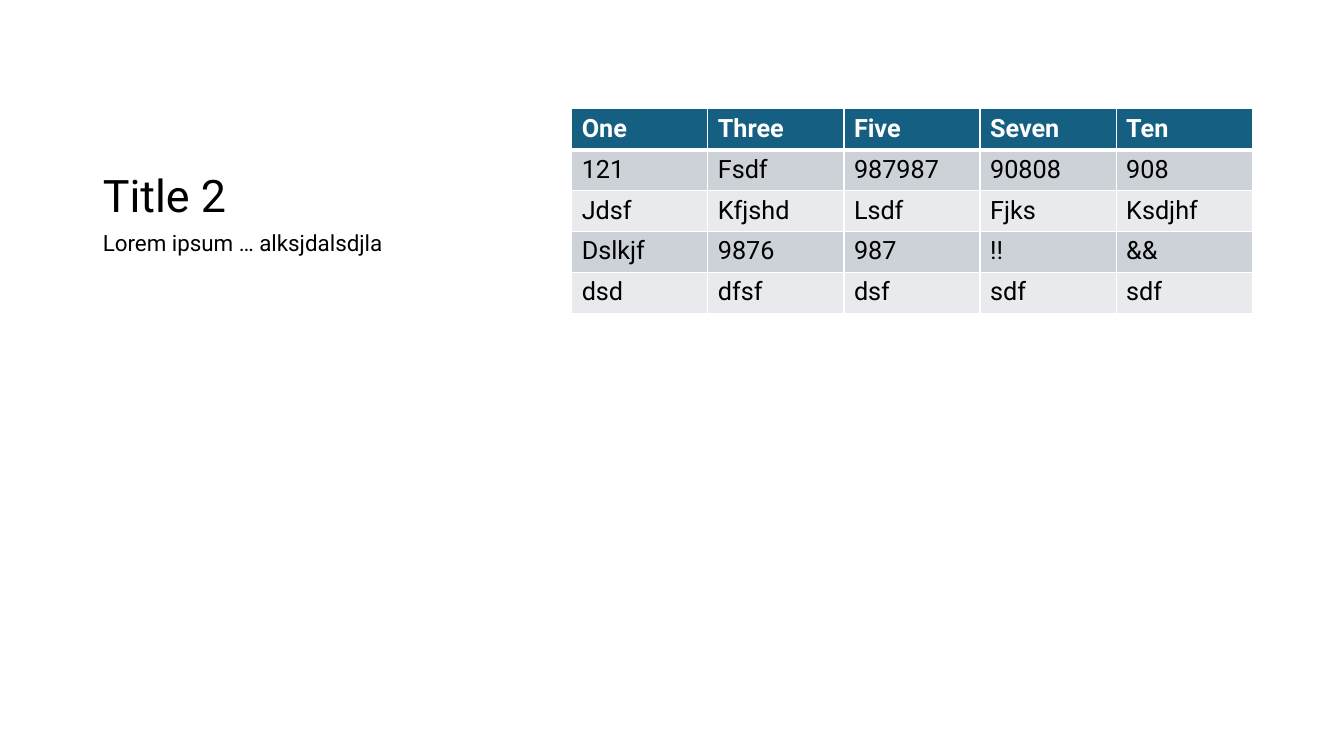
from lxml.etree import SubElement
from pptx import Presentation
from pptx.dml.color import RGBColor
from pptx.enum.text import MSO_ANCHOR as Anchor, MSO_AUTO_SIZE as AutoSize, PP_ALIGN as Align
from pptx.oxml.ns import qn
from pptx.util import Inches, Pt

FONT = "Roboto"
BLACK, WHITE = "000000", "FFFFFF"
HEADER_FILL = "156082"
BAND_FILLS = ("E8EAED", "CCD2D8")
ROWS = [
    ["One", "Three", "Five", "Seven", "Ten"],
    ["121", "Fsdf", "987987", "90808", "908"],
    ["Jdsf", "Kfjshd", "Lsdf", "Fjks", "Ksdjhf"],
    ["Dslkjf", "9876", "987", "!!", "&&"],
    ["dsd", "dfsf", "dsf", "sdf", "sdf"],
]


def rgb(color):
    return RGBColor.from_string(color)


def write(frame, text, size, color=BLACK, bold=False):
    frame.text = text
    paragraph = frame.paragraphs[0]
    paragraph.alignment = Align.LEFT
    font = paragraph.runs[0].font
    font.name, font.size, font.bold = FONT, Pt(size), bold
    font.color.rgb = rgb(color)
    return paragraph


def fill_placeholder(placeholder, text, size, top, height, anchor, space_before):
    placeholder.left, placeholder.top = Inches(0.92), Inches(top)
    placeholder.width, placeholder.height = Inches(4.3), Inches(height)
    frame = placeholder.text_frame
    frame.word_wrap = True
    frame.auto_size = AutoSize.NONE
    frame.vertical_anchor = anchor
    paragraph = write(frame, text, size)
    paragraph.line_spacing = 0.9
    paragraph.space_before = Pt(space_before)


def add_border(cell, side, width):
    line = SubElement(cell._tc.get_or_add_tcPr(), qn(f"a:ln{side}"), w=str(Pt(width)))
    SubElement(SubElement(line, qn("a:solidFill")), qn("a:srgbClr"), val=WHITE)


def style_cell(cell, text, row):
    header = row == 0
    write(cell.text_frame, text, 18, WHITE if header else BLACK, header)
    # Borders must come before the fill in the cell properties.
    for side in "LRTB":
        under_header = (row, side) in ((0, "B"), (1, "T"))
        add_border(cell, side, 3 if under_header else 1)
    cell.fill.solid()
    cell.fill.fore_color.rgb = rgb(HEADER_FILL if header else BAND_FILLS[row % 2])


def add_data_table(slide):
    frame = slide.shapes.add_table(len(ROWS), len(ROWS[0]), Inches(5.67), Inches(1.08),
                                   Inches(6.75), Inches(2.03))
    for row, values in enumerate(ROWS):
        for column, value in enumerate(values):
            style_cell(frame.table.cell(row, column), value, row)


def main():
    deck = Presentation()
    deck.slide_width, deck.slide_height = Inches(13.33), Inches(7.5)
    slide = deck.slides.add_slide(deck.slide_layouts.get_by_name("Content with Caption"))
    title, content, caption = slide.placeholders
    content.element.getparent().remove(content.element)
    fill_placeholder(title, "Title 2", 32, 0.5, 1.75, Anchor.BOTTOM, 0)
    add_data_table(slide)
    fill_placeholder(caption, "Lorem ipsum … alksjdalsdjla", 16, 2.25, 4.17, Anchor.TOP, 10)
    deck.save("out.pptx")


if __name__ == "__main__":
    main()
